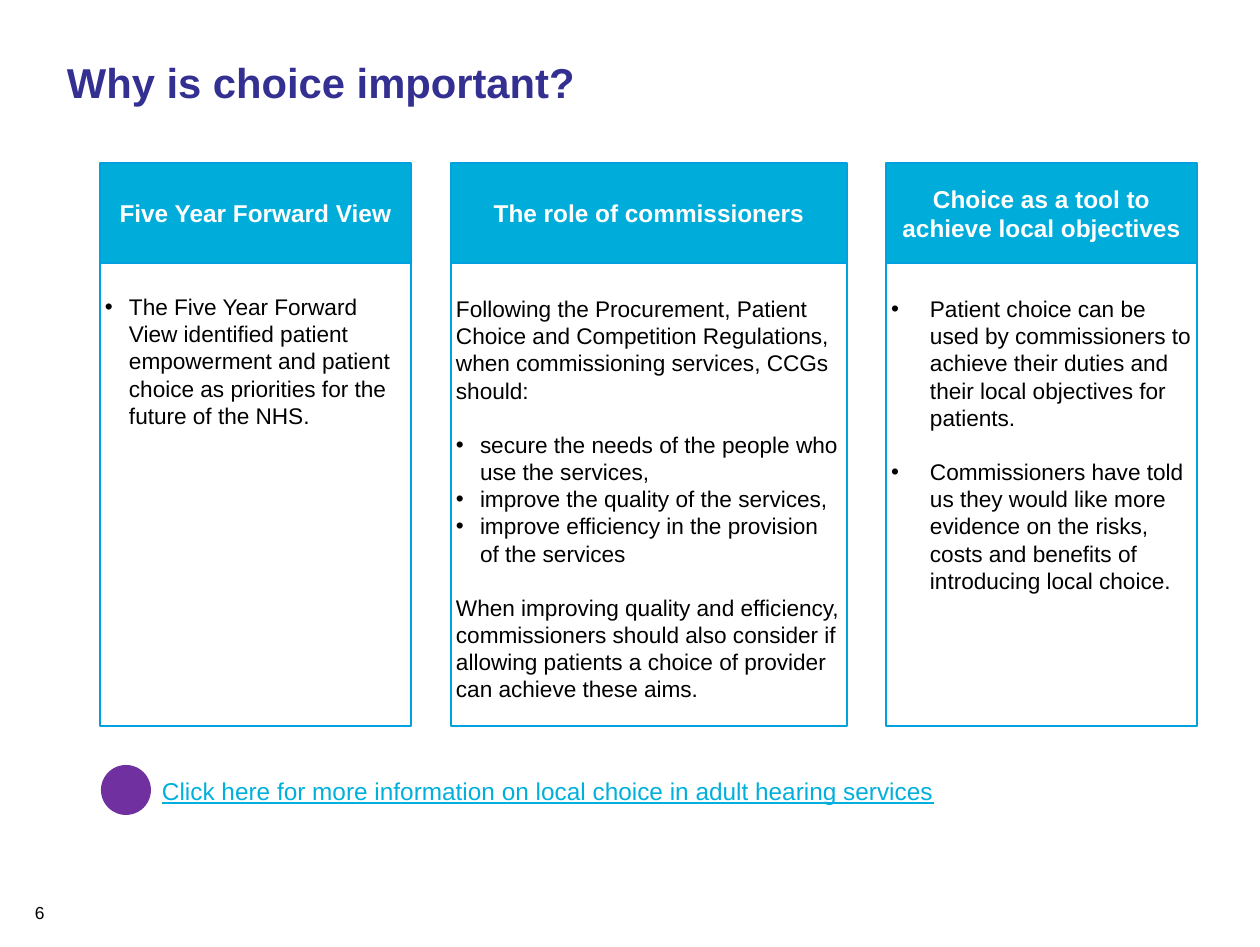
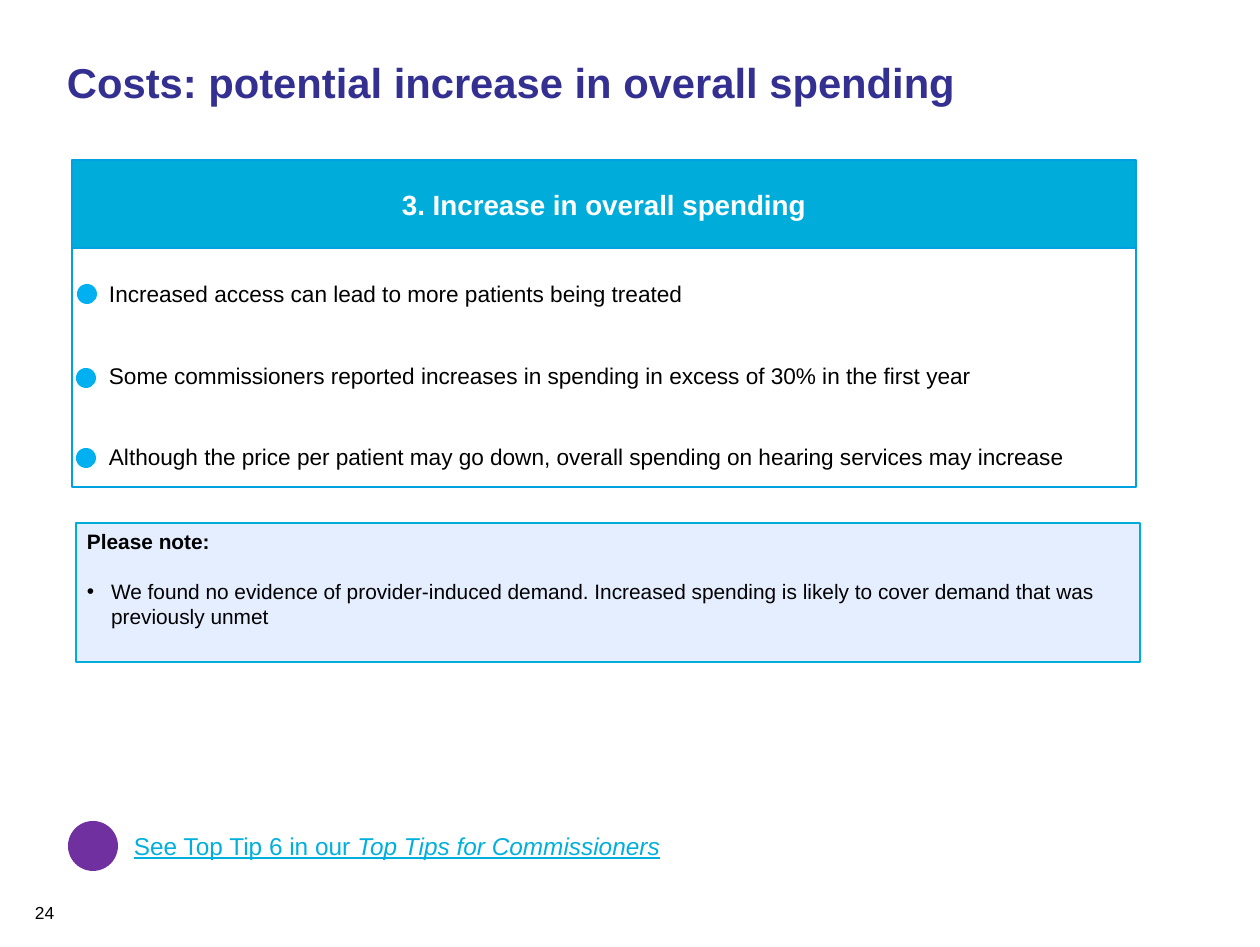
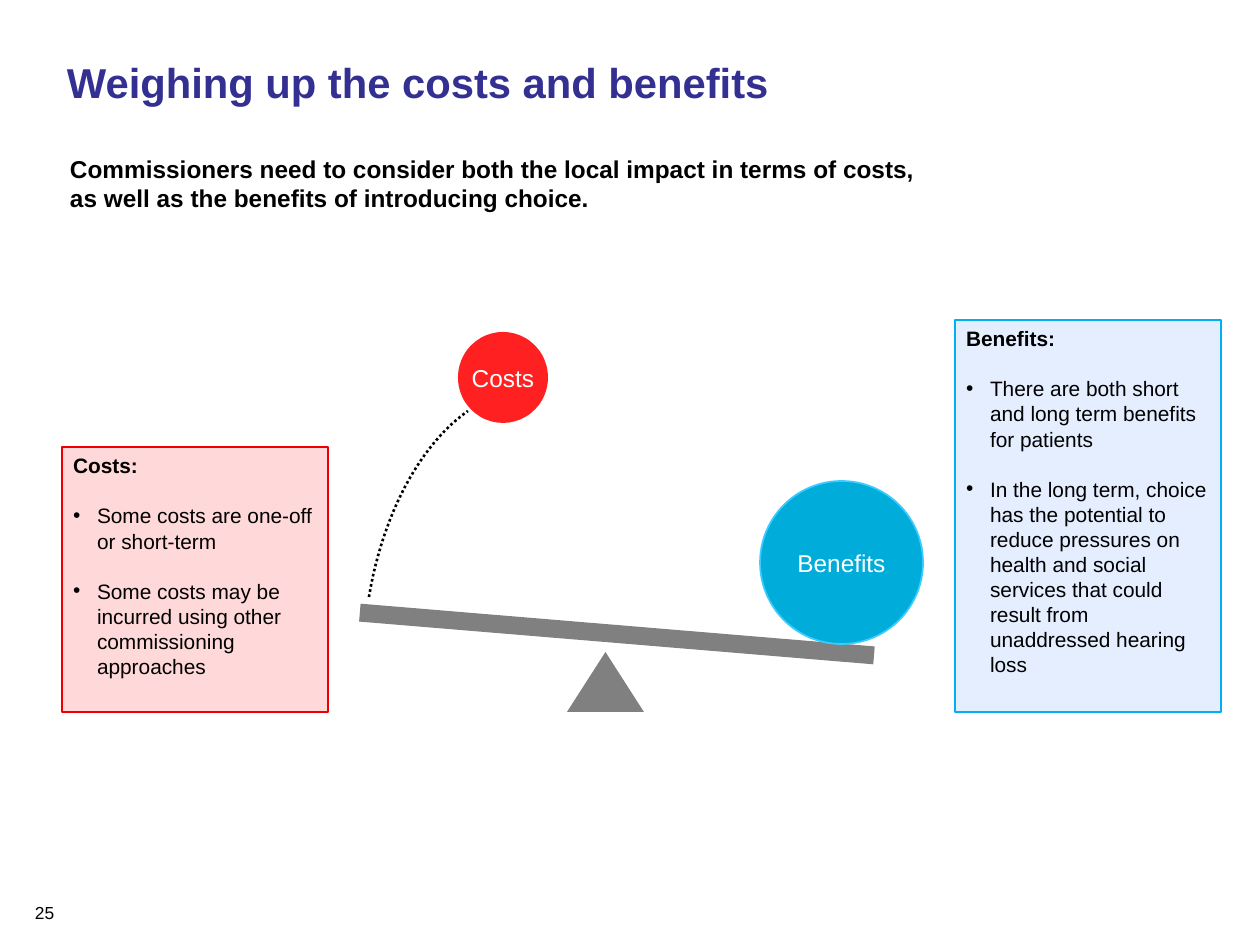
import lxml.etree
import pptx
import pptx.dml.color
import pptx.enum.dml
import pptx.enum.shapes
import pptx.enum.text
import pptx.oxml.ns
import pptx.util

PX = 7303.5  # EMU in one px
NAVY, CYAN, EDGE, LINK = "333092", "00ADDA", "00A1DE", "00AFDB"
SKY, PALE_BLUE, PURPLE = "00B0F0", "E5EEFF", "7030A0"
RED, PALE_RED, BALL_RED = "EE0000", "FFD9D9", "FF2121"
BLACK, WHITE, GREY = "000000", "FFFFFF", "808080"
SHAPES = pptx.enum.shapes.MSO_SHAPE
ANCHOR = pptx.enum.text.MSO_ANCHOR
ALIGN = pptx.enum.text.PP_ALIGN


def rgb(value):
    return pptx.dml.color.RGBColor.from_string(value)


def write(shape, lines, size, color=BLACK, bold_lines=0, align=ALIGN.LEFT,
          anchor=ANCHOR.TOP, inset=None, top=6, wrap=True):
    """Set lines of (text, indent px, bullet, points before); the first bold_lines are bold."""
    frame = shape.text_frame
    frame.text = "\n".join(line[0] for line in lines)
    frame.auto_size = pptx.enum.text.MSO_AUTO_SIZE.NONE
    frame.word_wrap = wrap
    frame.vertical_anchor = anchor
    frame.margin_left = frame.margin_right = round((11 if inset is None else inset) * PX)
    frame.margin_top = round(top * PX)
    frame.margin_bottom = round((6 if inset is None else inset) * PX)
    for number, (paragraph, line) in enumerate(zip(frame.paragraphs, lines)):
        text, indent, bullet, before = line
        properties = paragraph._p.get_or_add_pPr()
        properties.set("marL", str(round(indent * PX)))
        properties.set("indent", str(round(-indent * PX)) if bullet else "0")
        if bullet:
            lxml.etree.SubElement(properties, pptx.oxml.ns.qn("a:buFont"), typeface="Arial")
            lxml.etree.SubElement(properties, pptx.oxml.ns.qn("a:buChar"), char="•")
        else:
            lxml.etree.SubElement(properties, pptx.oxml.ns.qn("a:buNone"))
        paragraph.alignment = align
        paragraph.space_before = pptx.util.Pt(before)
        for run in paragraph.runs:
            run.font.name = "Arial"
            run.font.size = pptx.util.Pt(size)
            run.font.bold = number < bold_lines
            run.font.color.rgb = rgb(color)


deck = pptx.Presentation()
deck.slide_width, deck.slide_height = round(1260 * PX), round(947 * PX)

# Titles and page numbers
slides = []
for title, page in [
    ("Why is choice important?", "6"),
    ("Costs: potential increase in overall spending", "24"),
    ("Weighing up the costs and benefits", "25"),
]:
    slide = deck.slides.add_slide(deck.slide_layouts.get_by_name("Comparison"))
    heading = slide.shapes.title
    heading.left, heading.top, heading.width, heading.height = [
        round(v * PX) for v in (56, 51, 1176, 89)]
    write(heading, [(title, 0, False, 0)], 24, NAVY, bold_lines=1)
    page_number = slide.shapes.add_textbox(*[round(v * PX) for v in (24, 896, 292, 30)])
    write(page_number, [(page, 0, False, 0)], 10)
    slides.append(slide)
choice, spending, weighing = slides

# Column headers
for slide, box, size, text in [
    (choice, (100, 163, 311, 100), 14, "Five Year Forward View"),
    (choice, (451, 163, 396, 100), 14, "The role of commissioners"),
    (choice, (886, 163, 311, 100), 14, "Choice as a tool to achieve local objectives"),
    (spending, (72, 160, 1064, 88), 16, "3. Increase in overall spending"),
]:
    header = slide.shapes.add_shape(SHAPES.RECTANGLE, *[round(v * PX) for v in box])
    header.shadow.inherit = False
    header.fill.solid()
    header.fill.fore_color.rgb = rgb(CYAN)
    header.line.color.rgb = rgb(EDGE)
    header.line.width = pptx.util.Pt(1)
    write(header, [(text, 0, False, 0)], size, WHITE, 1, ALIGN.CENTER, ANCHOR.MIDDLE, 5, 5)

# Text panels: slide, box, fill, line, line width, side inset, top inset, size, bold lines, lines
panels = [
    (choice, (100, 263, 311, 463), None, EDGE, 1, 5, 30, 13, 0, [
        ("The Five Year Forward View identified patient empowerment and patient choice "
         "as priorities for the future of the NHS.", 24, True, 0),
    ]),
    (choice, (451, 263, 396, 463), None, EDGE, 1, 5, 32, 13, 0, [
        ("Following the Procurement, Patient Choice and Competition Regulations, "
         "when commissioning services, CCGs should:", 0, False, 0),
        ("secure the needs of the people who use the services,", 24, True, 15.6),
        ("improve the quality of the services,", 24, True, 0),
        ("improve efficiency in the provision of the services", 24, True, 0),
        ("When improving quality and efficiency, commissioners should also consider if "
         "allowing patients a choice of provider can achieve these aims.", 0, False, 15.6),
    ]),
    (choice, (886, 263, 311, 463), None, EDGE, 1, 5, 32, 13, 0, [
        ("Patient choice can be used by commissioners to achieve their duties and "
         "their local objectives for patients.", 39, True, 0),
        ("Commissioners have told us they would like more evidence on the risks, costs "
         "and benefits of introducing local choice.", 39, True, 15.6),
    ]),
    (spending, (72, 248, 1064, 239), None, EDGE, 1, 5, 32, 13, 0, [
        ("Increased access can lead to more patients being treated", 32, False, 0),
        ("Some commissioners reported increases in spending in excess of 30% "
         "in the first year", 32, False, 31.2),
        ("Although the price per patient may go down, overall spending on hearing "
         "services may increase", 32, False, 31.2),
    ]),
    (spending, (76, 523, 1064, 139), PALE_BLUE, CYAN, 1.5, None, 6, 12, 1, [
        ("Please note:", 0, False, 0),
        ("We found no evidence of provider-induced demand. Increased spending is likely "
         "to cover demand that was previously unmet", 24, True, 14.4),
    ]),
    (weighing, (59, 148, 1162, 71), None, None, 0, None, 6, 14, 2, [
        ("Commissioners need to consider both the local impact in terms of costs,", 0, False, 0),
        ("as well as the benefits of introducing choice.", 0, False, 0),
    ]),
    (weighing, (62, 447, 266, 265), PALE_RED, RED, 1.5, None, 6, 12, 1, [
        ("Costs:", 0, False, 0),
        ("Some costs are one-off or short-term", 24, True, 14.4),
        ("Some costs may be incurred using other commissioning approaches", 24, True, 14.4),
    ]),
    (weighing, (955, 320, 266, 392), PALE_BLUE, SKY, 1.5, None, 6, 12, 1, [
        ("Benefits:", 0, False, 0),
        ("There are both short and long term benefits for patients", 24, True, 14.4),
        ("In the long term, choice has the potential to reduce pressures on health and "
         "social services that could result from unaddressed hearing loss", 24, True, 14.4),
    ]),
]
free_bodies = {slide.slide_id: list(slide.placeholders)[1:] for slide in slides}
for slide, box, fill, edge, weight, inset, top, size, bold_lines, lines in panels:
    panel = free_bodies[slide.slide_id].pop(0)
    panel.left, panel.top, panel.width, panel.height = [round(v * PX) for v in box]
    if fill:
        panel.fill.solid()
        panel.fill.fore_color.rgb = rgb(fill)
    if edge:
        panel.line.color.rgb = rgb(edge)
        panel.line.width = pptx.util.Pt(weight)
    write(panel, lines, size, bold_lines=bold_lines, inset=inset, top=top)
for unused in free_bodies.values():
    for body in unused:
        body._element.getparent().remove(body._element)

# Seesaw
fulcrum = weighing.shapes.add_shape(
    SHAPES.ISOSCELES_TRIANGLE, *[round(v * PX) for v in (567, 652, 77, 60)])
beam = weighing.shapes.add_shape(
    SHAPES.RECTANGLE, *[round(v * PX) for v in (359, 625, 516, 18)])
beam.rotation = 4.75
for part in (fulcrum, beam):
    part.shadow.inherit = False
    part.fill.solid()
    part.fill.fore_color.rgb = rgb(GREY)
    part.line.fill.background()

# Dotted path of the rising ball, a cubic curve in short steps
curve = [(369, 597), (383, 513), (421, 444), (468, 411)]
steps = 24
swing = []
for step in range(steps + 1):
    t = step / steps
    weights = ((1 - t) ** 3, 3 * t * (1 - t) ** 2, 3 * t ** 2 * (1 - t), t ** 3)
    swing.append(tuple(round(PX * sum(w * point[axis] for w, point in zip(weights, curve)))
                       for axis in (0, 1)))
builder = weighing.shapes.build_freeform(*swing[0])
builder.add_line_segments(swing[1:], close=False)
trail = builder.convert_to_shape()
trail.shadow.inherit = False
trail.fill.background()
trail.line.color.rgb = rgb(BLACK)
trail.line.width = pptx.util.Pt(1.5)
trail.line.dash_style = pptx.enum.dml.MSO_LINE.ROUND_DOT

# Discs: link markers, list markers and the two balls
for slide, box, fill, edge, label in [
    (choice, (101, 765, 50, 50), PURPLE, None, ""),
    (spending, (68, 821, 50, 50), PURPLE, None, ""),
    (spending, (77, 284, 20, 20), SKY, None, ""),
    (spending, (76, 368, 20, 20), SKY, None, ""),
    (spending, (76, 448, 20, 20), SKY, None, ""),
    (weighing, (760, 481, 163, 163), CYAN, "3BCCFF", "Benefits"),
    (weighing, (458, 332, 90, 91), BALL_RED, None, "Costs"),
]:
    disc = slide.shapes.add_shape(SHAPES.OVAL, *[round(v * PX) for v in box])
    disc.shadow.inherit = False
    disc.fill.solid()
    disc.fill.fore_color.rgb = rgb(fill)
    if edge:
        disc.line.color.rgb = rgb(edge)
        disc.line.width = pptx.util.Pt(1)
    else:
        disc.line.fill.background()
    if label:
        write(disc, [(label, 0, False, 0)], 14, WHITE, align=ALIGN.CENTER,
              anchor=ANCHOR.MIDDLE, wrap=False)

# Underlined references
for slide, box, text, publication in [
    (choice, (151, 770, 906, 43),
     "Click here for more information on local choice in adult hearing services", ""),
    (spending, (123, 825, 906, 43), "See Top Tip 6 in our ", "Top Tips for Commissioners"),
]:
    reference = slide.shapes.add_textbox(*[round(v * PX) for v in box])
    write(reference, [(text, 0, False, 0)], 14, LINK)
    paragraph = reference.text_frame.paragraphs[0]
    if publication:
        name = paragraph.add_run()
        name.text = publication
        name.font.name = "Arial"
        name.font.size = pptx.util.Pt(14)
        name.font.color.rgb = rgb(LINK)
        name.font.italic = True
    for run in paragraph.runs:
        run.font.underline = True

deck.save("out.pptx")
